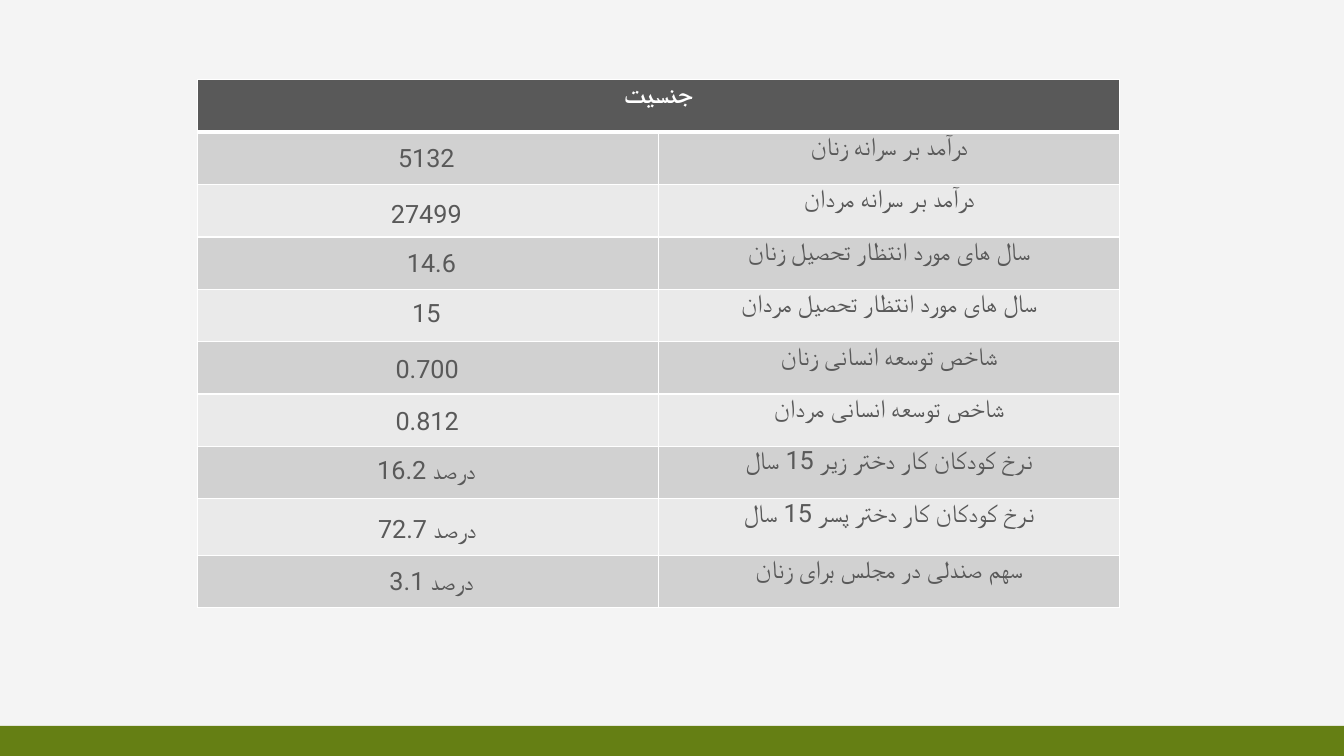
from lxml.etree import SubElement
from pptx import Presentation
from pptx.dml.color import RGBColor
from pptx.enum.shapes import MSO_SHAPE
from pptx.enum.text import MSO_AUTO_SIZE, PP_ALIGN
from pptx.oxml import parse_xml
from pptx.oxml.ns import nsdecls, qn
from pptx.util import Cm, Pt

HEADER = "جنسیت"
# label, value, left and top of the value in cm
ROWS = [
    ("درآمد بر سرانه زنان", "5132", 4.98, 3.45),
    ("درآمد بر سرانه مردان", "27499", 4.98, 4.88),
    ("سال های مورد انتظار تحصیل زنان", "14.6", 5.11, 6.12),
    ("سال های مورد انتظار تحصیل مردان", "15", 4.98, 7.37),
    ("شاخص توسعه انسانی زنان", "0.700", 5, 8.79),
    ("شاخص توسعه انسانی مردان", "0.812", 5, 10.08),
    ("نرخ کودکان کار دختر زیر 15 سال", "16.2 درصد", 4.98, 11.33),
    ("نرخ کودکان کار دختر پسر 15 سال", "72.7 درصد", 5, 12.8),
    ("سهم صندلی در مجلس برای زنان", "3.1 درصد", 5.11, 14.12),
]
ROW_H, TALL_ROW, TALL_H = 1.32, 8, 1.42
COL_W = 11.62
FONT = "Roboto"
PAGE = RGBColor(0xF4, 0xF4, 0xF4)
GREEN = RGBColor(0x65, 0x7F, 0x14)
GRAY = RGBColor(0x59, 0x59, 0x59)
WHITE = RGBColor(0xFF, 0xFF, 0xFF)
BANDS = [RGBColor(0xEA, 0xEA, 0xEA), RGBColor(0xD1, 0xD1, 0xD1)]


def write(tf, text, color, bold=False, rtl=False):
    tf.text = text
    p = tf.paragraphs[0]
    p.alignment = PP_ALIGN.CENTER
    if rtl:
        p._p.get_or_add_pPr().set("rtl", "1")
    font = p.runs[0].font
    font.name, font.size, font.bold = FONT, Pt(18), bold
    font.color.rgb = color
    SubElement(font._element, qn("a:cs"), typeface=FONT)


def style_cell(cell, fill, top, bottom):
    """Fill a cell and give it white borders; top and bottom are in points."""
    cell.margin_top = cell.margin_bottom = 0
    cell.fill.solid()
    cell.fill.fore_color.rgb = fill
    tcPr = cell._tc.get_or_add_tcPr()
    for i, (side, width) in enumerate(zip("LRTB", (1, 1, top, bottom))):
        tcPr.insert(i, parse_xml(
            f'<a:ln{side} {nsdecls("a")} w="{Pt(width)}"><a:solidFill>'
            f'<a:srgbClr val="{WHITE}"/></a:solidFill></a:ln{side}>'))


def add_table(s):
    n = len(ROWS) + 1
    height = Cm(ROW_H * (n - 1) + TALL_H)
    table = s.shapes.add_table(n, 2, Cm(4.98), Cm(2.01),
                               Cm(2 * COL_W), height).table
    for col in table.columns:
        col.width = Cm(COL_W)
    for i, row in enumerate(table.rows):
        row.height = Cm(TALL_H if i == TALL_ROW else ROW_H)
        for cell in row.cells:
            style_cell(cell, BANDS[i % 2] if i else GRAY,
                       3 if i == 1 else 1, 1 if i else 3)
    table.cell(0, 0).merge(table.cell(0, 1))
    write(table.cell(0, 0).text_frame, HEADER, WHITE, bold=True, rtl=True)
    for i, (label, *_) in enumerate(ROWS, 1):
        write(table.cell(i, 1).text_frame, label, GRAY, rtl=True)


def add_values(s):
    for _, value, left, top in ROWS:
        tf = s.shapes.add_textbox(Cm(left), Cm(top), Cm(11.53), Cm(1.02)).text_frame
        tf.word_wrap = True
        tf.auto_size = MSO_AUTO_SIZE.SHAPE_TO_FIT_TEXT
        write(tf, value, GRAY)


def main():
    prs = Presentation()
    prs.slide_width, prs.slide_height = Cm(33.87), Cm(19.05)
    s = prs.slides.add_slide(prs.slide_layouts[6])
    s.background.fill.solid()
    s.background.fill.fore_color.rgb = PAGE
    bar = s.shapes.add_shape(MSO_SHAPE.RECTANGLE, 0, Cm(18.29),
                             prs.slide_width, Cm(0.76))
    bar.shadow.inherit = False
    bar.fill.solid()
    bar.fill.fore_color.rgb = GREEN
    bar.line.fill.background()
    add_table(s)
    add_values(s)
    prs.save("out.pptx")


if __name__ == "__main__":
    main()
